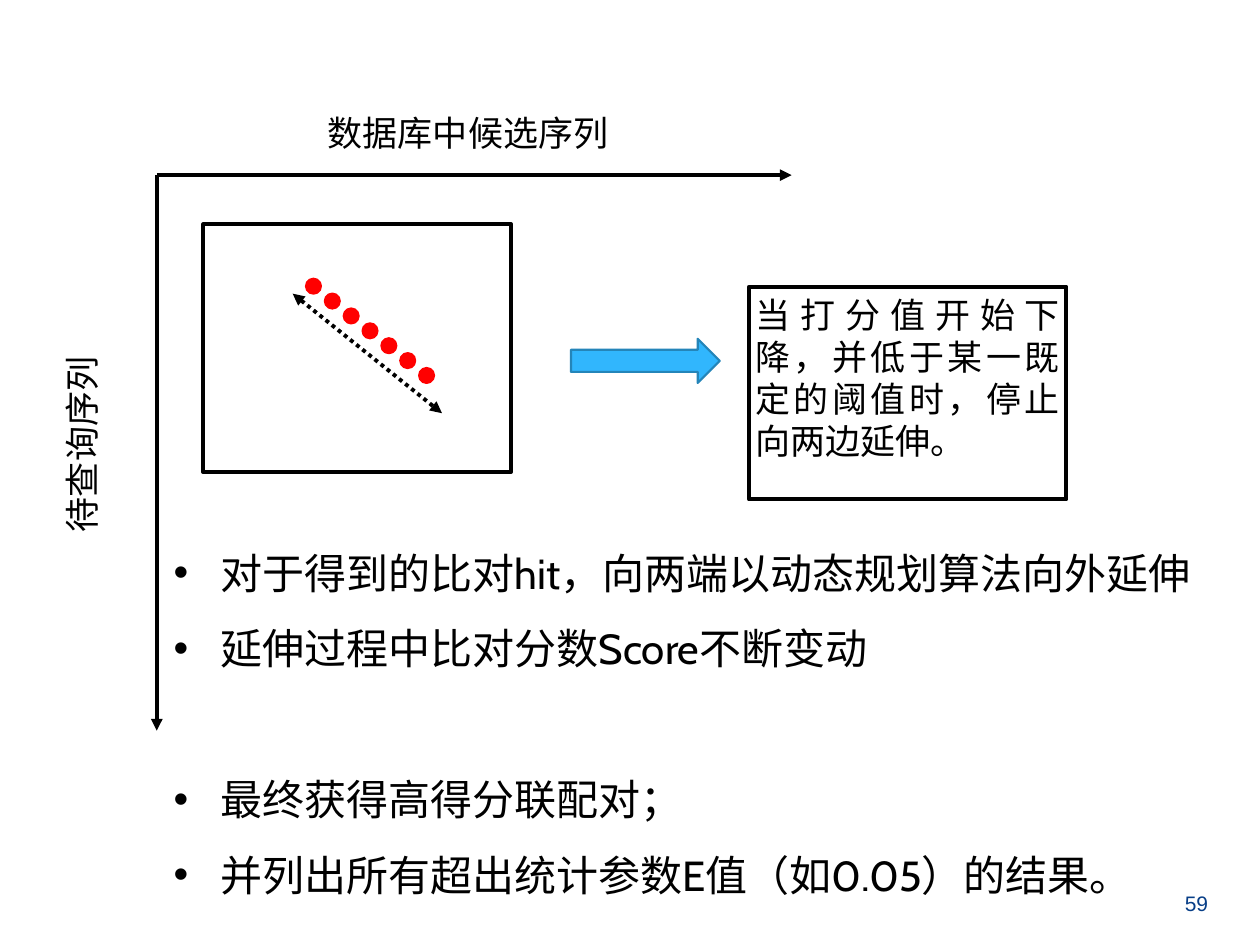
from pptx import Presentation
from pptx.dml.color import RGBColor
from pptx.enum.dml import MSO_LINE
from pptx.enum.shapes import MSO_CONNECTOR, MSO_SHAPE
from pptx.enum.text import MSO_ANCHOR, PP_ALIGN
from pptx.oxml.ns import qn
from pptx.util import Cm, Pt
from lxml import etree

STRAIGHT = MSO_CONNECTOR.STRAIGHT
RECT, OVAL, ARROW = MSO_SHAPE.RECTANGLE, MSO_SHAPE.OVAL, MSO_SHAPE.RIGHT_ARROW
LEFT, CENTER, JUSTIFY = PP_ALIGN.LEFT, PP_ALIGN.CENTER, PP_ALIGN.JUSTIFY
TOP, MIDDLE = MSO_ANCHOR.TOP, MSO_ANCHOR.MIDDLE
DOTTED = MSO_LINE.ROUND_DOT

BLACK = RGBColor(0x00, 0x00, 0x00)
RED = RGBColor(0xFF, 0x00, 0x00)
BLUE = RGBColor(0x31, 0xB6, 0xFD)
EDGE = RGBColor(0x24, 0x85, 0xB9)
NAVY = RGBColor(0x07, 0x3E, 0x87)
HAN = "Noto Sans CJK SC"

# Places are left, top, width, height in cm
TARGET = ("数据库中候选序列", (6.48, 2.12, 6.76, 1.12))
QUERY = ("待查询序列", (-0.29, 8.23, 4.01, 1.24))
STOP = ("当打分值开始下降，并低于某一既定的阈值时，停止向两边延伸。",
        (15.1, 5.78, 6.4, 4.29))
PAGE = ("59", (23.75, 17.83, 0.74, 0.74))
FRAME = (4.1, 4.52, 6.2, 5)
STEP = (11.51, 6.83, 3, 0.89)
BODY = (3.5, 10.52, 21.03, 7.7)

# Bullet text, space before in points
POINTS = [
    ("对于得到的比对hit，向两端以动态规划算法向外延伸", 0),
    ("延伸过程中比对分数Score不断变动", 0),
    ("最终获得高得分联配对；", 43),
    ("并列出所有超出统计参数E值（如0.05）的结果。", 0),
]

ORIGIN, X_END, Y_END = (3.16, 3.53), (15.96, 3.53), (3.16, 14.73)
HIT = ((5.9, 5.92), (8.91, 8.33))
DOTS, DOT = 7, 0.3
DOT_AT, DOT_GAP = (6.17, 5.62), (0.38, 0.3)

prs = Presentation()
prs.slide_width, prs.slide_height = Cm(25.4), Cm(19.05)
slide = prs.slides.add_slide(prs.slide_layouts[6])
shapes = slide.shapes


def cms(nums):
    return [Cm(n) for n in nums]


def add_line(start, end, tips=("tailEnd",), dash=None):
    """Draw a black line with arrowheads at the named tips."""
    line = shapes.add_connector(STRAIGHT, *cms(start + end))
    line.line.color.rgb = BLACK
    line.line.width = Pt(2.25)
    if dash:
        line.line.dash_style = dash
    ln = line._element.spPr.find(qn("a:ln"))
    for tip in tips:
        etree.SubElement(ln, qn("a:" + tip), type="triangle")
    etree.SubElement(line._element.spPr, qn("a:effectLst"))


def add_form(kind, place, fill, edge, width):
    form = shapes.add_shape(kind, *cms(place))
    form.shadow.inherit = False
    if fill is None:
        form.fill.background()
    else:
        form.fill.solid()
        form.fill.fore_color.rgb = fill
    form.line.color.rgb = edge
    form.line.width = Pt(width)
    return form


def set_frame(shape, pad=0.13, anchor=TOP, wrap=True):
    frame = shape.text_frame
    frame.word_wrap = wrap
    frame.vertical_anchor = anchor
    frame.margin_left = frame.margin_right = Cm(pad)
    frame.margin_top = frame.margin_bottom = Cm(pad)
    return frame


def add_run(para, text, size=20, font=HAN, color=BLACK, align=LEFT):
    """Add a run and keep its punctuation inside the text area."""
    para.alignment = align
    para._p.get_or_add_pPr().set("hangingPunct", "0")
    run = para.add_run()
    run.text = text
    run.font.size = Pt(size)
    run.font.name = font
    run.font.color.rgb = color
    etree.SubElement(run._r.get_or_add_rPr(), qn("a:ea"), typeface=HAN)


def add_bullet(para):
    props = para._p.get_or_add_pPr()
    props.set("marL", str(Cm(0.95)))
    props.set("indent", str(-Cm(0.95)))
    etree.SubElement(props, qn("a:buFont"), typeface="Arial")
    etree.SubElement(props, qn("a:buChar"), char="•")


# Axes and the hit being extended
add_line(ORIGIN, X_END)
add_line(ORIGIN, Y_END)
add_line(*HIT, tips=("headEnd", "tailEnd"), dash=DOTTED)
for i in range(DOTS):
    x, y = (at + i * gap for at, gap in zip(DOT_AT, DOT_GAP))
    add_form(OVAL, (x, y, DOT, DOT), RED, RED, 1.25)

# Axis labels
for (text, place), turn in ((TARGET, 0), (QUERY, 270)):
    label = shapes.add_textbox(*cms(place))
    label.rotation = turn
    add_run(set_frame(label).paragraphs[0], text)

# Search area, arrow and stop rule
add_form(RECT, FRAME, None, BLACK, 2.25)
add_form(ARROW, STEP, BLUE, EDGE, 1.25)
text, place = STOP
rule = add_form(RECT, place, None, BLACK, 2.25)
add_run(set_frame(rule).paragraphs[0], text, align=JUSTIFY)

# Bullet list
body = set_frame(shapes.add_textbox(*cms(BODY)), pad=0)
for i, (text, gap) in enumerate(POINTS):
    para = body.add_paragraph() if i else body.paragraphs[0]
    add_bullet(para)
    para.line_spacing = 1.5
    if gap:
        para.space_before = Pt(gap)
    add_run(para, text, 24, "Cabin")

# Page number
text, place = PAGE
page = set_frame(shapes.add_textbox(*cms(place)), anchor=MIDDLE, wrap=False)
add_run(page.paragraphs[0], text, 12, "Arial", NAVY, CENTER)

prs.save("out.pptx")
